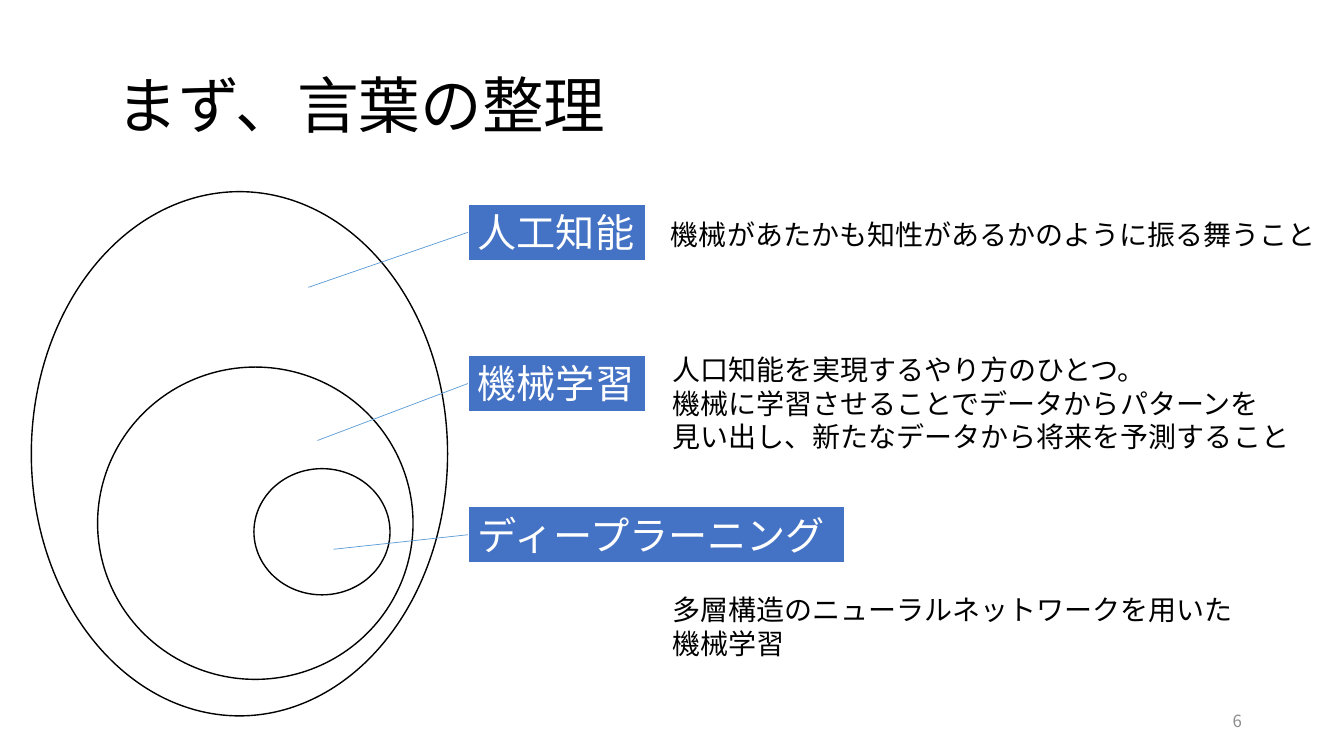
import pptx
import pptx.util
import pptx.dml.color
import pptx.enum.shapes
import pptx.enum.text
import pptx.oxml.ns
from lxml import etree

Cm, Pt = pptx.util.Cm, pptx.util.Pt
RGB = pptx.dml.color.RGBColor
SHAPE = pptx.enum.shapes.MSO_SHAPE
ALIGN = pptx.enum.text.PP_ALIGN
ANCHOR = pptx.enum.text.MSO_ANCHOR
FIT = pptx.enum.text.MSO_AUTO_SIZE
qn = pptx.oxml.ns.qn

FONT = "Noto Sans CJK JP"
BLACK = RGB(0x00, 0x00, 0x00)
WHITE = RGB(0xFF, 0xFF, 0xFF)
BLUE = RGB(0x44, 0x72, 0xC4)
SKY = RGB(0x5B, 0x9B, 0xD5)
GRAY = RGB(0x8C, 0x8C, 0x8C)

# Nested sets, outermost first: left, top, width, height
RINGS = [
    (0.79, 4.83, 10.49, 13.21),
    (2.46, 9.25, 7.95, 7.87),
    (6.4, 11.81, 3.43, 3.18),
]

# Term, label width, pointer end, definition, its place, whether it wraps
TERMS = [
    ("人工知能", 4.5, (7.77, 7.24),
     "機械があたかも知性があるかのように振る舞うこと",
     (16.66, 5.36, 16.89, 1.12), False),
    ("機械学習", 4.5, (8, 11.1),
     "人口知能を実現するやり方のひとつ。\n"
     "機械に学習させることでデータからパターンを\n"
     "見い出し、新たなデータから将来を予測すること",
     (16.69, 8.76, 16.89, 2.82), True),
    ("ディープラーニング", 9.5, (8.41, 13.84),
     "多層構造のニューラルネットワークを用いた\n機械学習",
     (16.69, 14.81, 15.42, 1.96), True),
]
LEFT, TOP, STEP, HIGH = 11.79, 5.13, 3.81, 1.45


def write(frame, text, size, color, align=ALIGN.LEFT, anchor=ANCHOR.TOP):
    frame.text = text
    frame.vertical_anchor = anchor
    for para in frame.paragraphs:
        para.alignment = align
        for run in para.runs:
            run.font.size = Pt(size)
            run.font.name = FONT
            run.font.color.rgb = color
            # East Asian text takes its own typeface
            east = etree.SubElement(run.font._element, qn("a:ea"))
            east.set("typeface", FONT)


def add_form(slide, kind, box, fill, edge, width):
    form = slide.shapes.add_shape(kind, *map(Cm, box))
    form.shadow.inherit = False
    form.fill.solid()
    form.fill.fore_color.rgb = fill
    form.line.color.rgb = edge
    form.line.width = Pt(width)
    return form


def add_label(slide, box, text):
    label = add_form(slide, SHAPE.RECTANGLE, box, BLUE, WHITE, 1.5)
    write(label.text_frame, text, 28, WHITE)
    label.text_frame.word_wrap = False
    label.text_frame.auto_size = FIT.SHAPE_TO_FIT_TEXT
    return label


def add_line(slide, label, end):
    x, y = map(Cm, end)
    line = slide.shapes.add_connector(
        pptx.enum.shapes.MSO_CONNECTOR.STRAIGHT, x, y, x, y)
    line.begin_connect(label, 1)
    line.end_x, line.end_y = x, y
    line.line.color.rgb = SKY
    line.line.width = Pt(0.5)
    etree.SubElement(line._element.spPr, qn("a:effectLst"))


def add_text(slide, box, text, wrap):
    frame = slide.shapes.add_textbox(*map(Cm, box)).text_frame
    write(frame, text, 20, BLACK)
    frame.word_wrap = wrap
    frame.auto_size = FIT.SHAPE_TO_FIT_TEXT


def add_title(slide, text):
    title = slide.shapes.title
    title.left, title.top = Cm(2.69), Cm(0.89)
    title.width, title.height = Cm(29.21), Cm(3.68)
    write(title.text_frame, text, 44, BLACK, anchor=ANCHOR.MIDDLE)
    title.text_frame.paragraphs[0].line_spacing = 0.9


def add_page(slide, text):
    box = slide.shapes.add_textbox(Cm(23.93), Cm(17.65), Cm(7.62), Cm(1.02))
    box.text_frame.word_wrap = True
    write(box.text_frame, text, 12, GRAY, ALIGN.RIGHT, ANCHOR.MIDDLE)


def main():
    deck = pptx.Presentation()
    deck.slide_width, deck.slide_height = Cm(33.87), Cm(19.05)
    slide = deck.slides.add_slide(deck.slide_layouts[5])
    add_title(slide, "まず、言葉の整理")

    # Nested ellipses
    for box in RINGS:
        add_form(slide, SHAPE.OVAL, box, WHITE, BLACK, 1)

    # Labels with pointers and definitions
    for row, (term, width, end, text, place, wrap) in enumerate(TERMS):
        label = add_label(slide, (LEFT, TOP + row * STEP, width, HIGH), term)
        add_line(slide, label, end)
        add_text(slide, place, text, wrap)

    add_page(slide, "6")
    deck.save("out.pptx")


if __name__ == "__main__":
    main()
